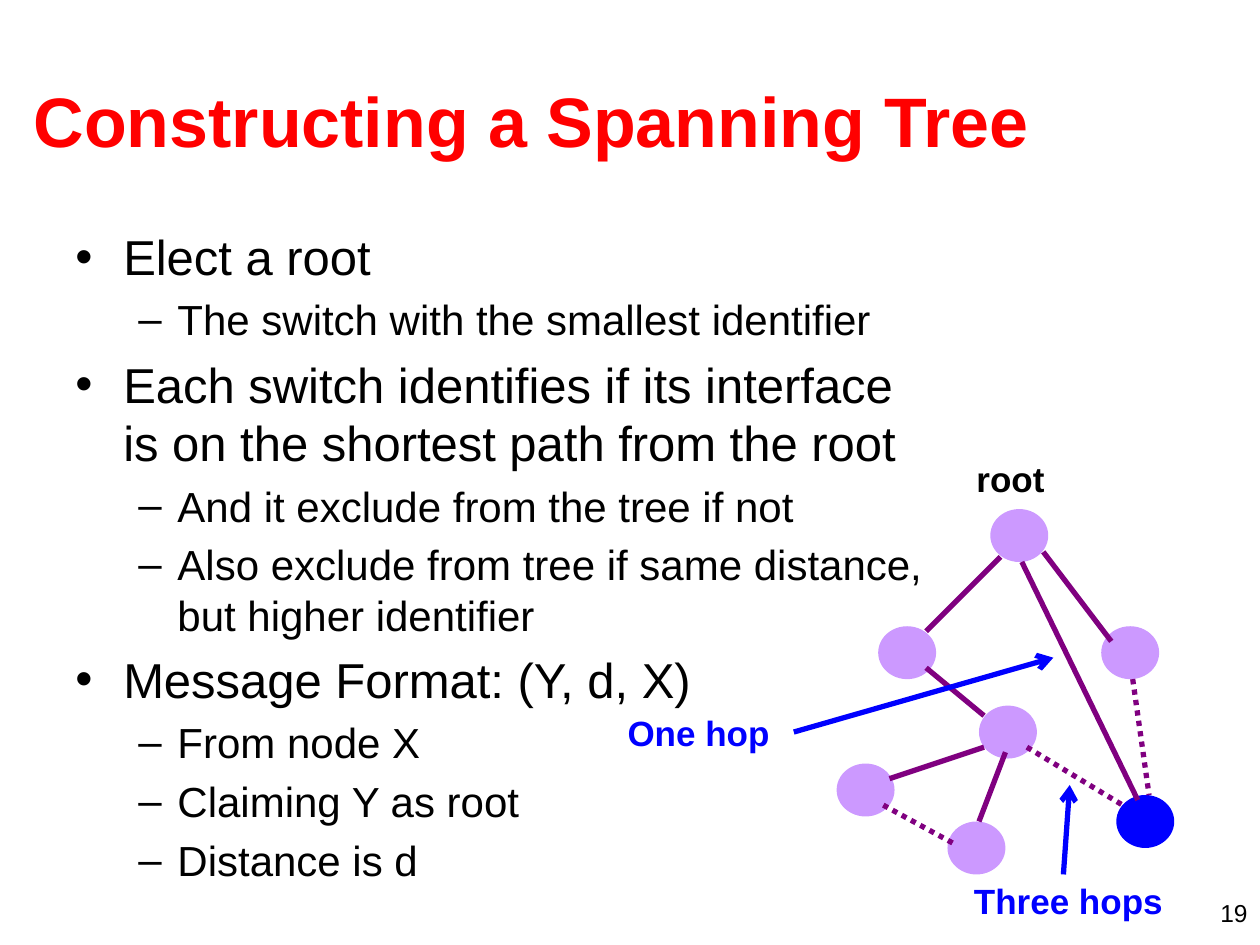
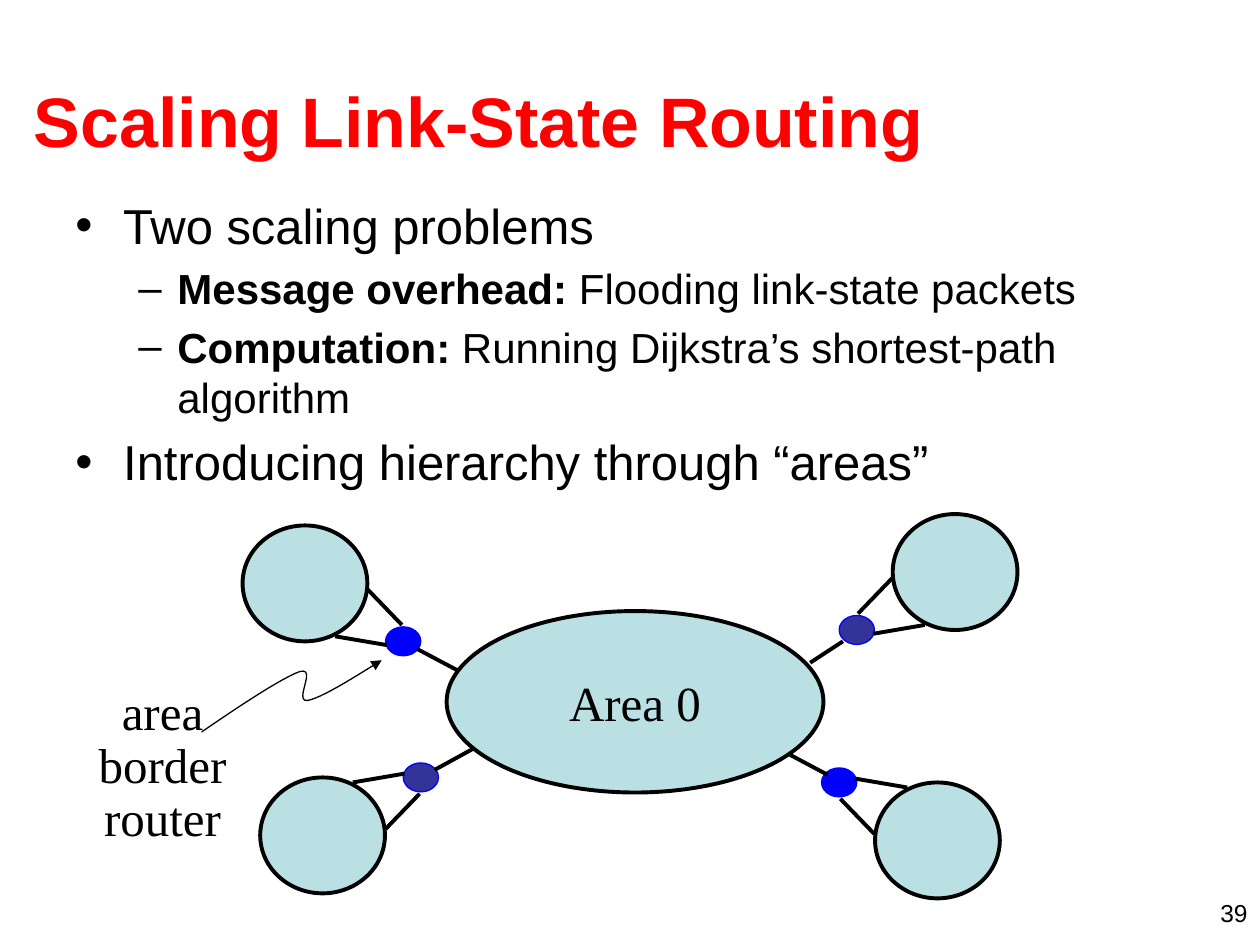
from lxml import etree
from pptx import Presentation
from pptx.dml.color import RGBColor
from pptx.enum.dml import MSO_LINE
from pptx.enum.shapes import MSO_CONNECTOR, MSO_SHAPE
from pptx.enum.text import MSO_ANCHOR, PP_ALIGN
from pptx.oxml.ns import qn
from pptx.util import Pt

PX = 9144  # 100 px to the inch

BLACK = RGBColor(0x00, 0x00, 0x00)
RED = RGBColor(0xFF, 0x00, 0x00)
BLUE = RGBColor(0x00, 0x00, 0xFF)
NAVY = RGBColor(0x33, 0x33, 0x99)
LILAC = RGBColor(0xCC, 0x99, 0xFF)
PURPLE = RGBColor(0x80, 0x00, 0x80)
PALE_TEAL = RGBColor(0xBB, 0xE0, 0xE3)

SANS, SERIF = "Arial", "Times New Roman"
LEFT, CENTER, RIGHT = PP_ALIGN.LEFT, PP_ALIGN.CENTER, PP_ALIGN.RIGHT
TOP, MIDDLE = MSO_ANCHOR.TOP, MSO_ANCHOR.MIDDLE
OVAL, STRAIGHT = MSO_SHAPE.OVAL, MSO_CONNECTOR.STRAIGHT
DOTTED = MSO_LINE.ROUND_DOT

# Per list level: bullet, size in points, left margin and hanging indent in px
LEVELS = [("•", 28, 38, 38), ("–", 24, 81, 31)]

# Slide 1: node centres, and links as from, to, dotted
NODES = [(809, 425), (720, 518), (897, 518), (800, 581), (687, 627), (775, 673)]
CLAIMING_NODE = (909, 652)
LINKS = [
    ((794, 442), (735, 501), False),
    ((828, 438), (882, 509), False),
    ((735, 530), (781, 568), False),
    ((815, 593), (891, 639), True),
    ((899, 539), (912, 631), True),
    ((811, 446), (903, 635), False),
    ((706, 618), (781, 593), False),
    ((777, 652), (798, 597), False),
    ((756, 669), (701, 639), True),
]

# Slide 2: area centre, side signs, router colour, link from router to Area 0
AREAS = [
    ((242, 463), (1, 1), BLUE, ((331, 515), (363, 532))),
    ((758, 454), (-1, 1), NAVY, ((669, 509), (643, 526))),
    ((256, 663), (1, -1), NAVY, ((345, 611), (376, 594))),
    ((744, 667), (-1, -1), BLUE, ((657, 615), (625, 598))),
]
POINTER_START = (160, 581)
POINTER_CURVES = [
    ((192, 559), (224, 538), (238, 533)),
    ((252, 529), (233, 557), (244, 556)),
    ((255, 554), (279, 539), (303, 524)),
]


def emu(*lengths):
    return [round(length * PX) for length in lengths]


def write(para, text, size, color=BLACK, font=SANS, bold=False):
    """Add text to a paragraph; a newline becomes a line break."""
    for number, line in enumerate(text.split("\n")):
        if number:
            para.add_line_break()
        span = para.add_run()
        span.text = line
        span.font.size = Pt(size)
        span.font.name = font
        span.font.bold = bold
        span.font.color.rgb = color


def add_text(page, area, text, size, align=LEFT, anchor=TOP, wrap=True,
             spacing=None, **style):
    """One paragraph per line of text."""
    frame = page.shapes.add_textbox(*emu(*area)).text_frame
    frame.word_wrap = wrap
    frame.vertical_anchor = anchor
    for number, line in enumerate(text.split("\n")):
        para = frame.add_paragraph() if number else frame.paragraphs[0]
        para.alignment = align
        para.line_spacing = spacing
        write(para, line, size, **style)


def add_bullets(page, area, items):
    """Items are (level, text) or (level, bold lead, text)."""
    frame = page.shapes.add_textbox(*emu(*area)).text_frame
    frame.word_wrap = True
    for number, (level, *leads, text) in enumerate(items):
        bullet, size, margin, hang = LEVELS[level]
        para = frame.add_paragraph() if number else frame.paragraphs[0]
        properties = para._p.get_or_add_pPr()
        properties.set("marL", str(margin * PX))
        properties.set("indent", str(-hang * PX))
        etree.SubElement(properties, qn("a:buFont"), typeface=SANS)
        etree.SubElement(properties, qn("a:buChar"), char=bullet)
        para.level = level
        if number:
            para.space_before = Pt(size * 0.2)
        for lead in leads:
            write(para, lead, size, bold=True)
        write(para, text, size)


def add_oval(page, center, size, fill, line=None, weight=0):
    (x, y), (width, height) = center, size
    oval = page.shapes.add_shape(
        OVAL, *emu(x - width / 2, y - height / 2, width, height))
    oval.shadow.inherit = False
    oval.fill.solid()
    oval.fill.fore_color.rgb = fill
    if line is None:
        oval.line.fill.background()
    else:
        oval.line.color.rgb = line
        oval.line.width = Pt(weight)
    return oval


def style_line(line, color, weight, arrow=None):
    line.color.rgb = color
    line.width = Pt(weight)
    if arrow:
        etree.SubElement(line._get_or_add_ln(), qn("a:tailEnd"), type=arrow)


def add_line(page, start, end, color, weight, dotted=False, arrow=None):
    link = page.shapes.add_connector(STRAIGHT, *emu(*start, *end))
    etree.SubElement(link._element.spPr, qn("a:effectLst"))
    if dotted:
        link.line.dash_style = DOTTED
    style_line(link.line, color, weight, arrow)


def bezier_points(start, curves, steps=12):
    """Points along a chain of cubic curves."""
    points = []
    for first, second, end in curves:
        for step in range(1, steps + 1):
            t = step / steps
            u = 1 - t
            points.append(tuple(
                u**3 * a + 3 * u * u * t * b + 3 * u * t * t * c + t**3 * d
                for a, b, c, d in zip(start, first, second, end)))
        start = end
    return points


def add_curve(page, start, curves, color, weight, arrow):
    builder = page.shapes.build_freeform(*emu(*start))
    points = [emu(*point) for point in bezier_points(start, curves)]
    builder.add_line_segments(points, close=False)
    curve = builder.convert_to_shape()
    curve.shadow.inherit = False
    curve.fill.background()
    style_line(curve.line, color, weight, arrow)


def add_page(deck, title, number):
    page = deck.slides.add_slide(deck.slide_layouts[6])
    add_text(page, (767, 708, 233, 25), str(number), 14, align=RIGHT)
    add_text(page, (17, 32, 958, 125), title, 40, anchor=MIDDLE,
             color=RED, bold=True)
    return page


def add_area(page, center, signs, router_color, backbone_link):
    """An outer area, its border router, and the links around the router."""
    def place(x, y):
        return center[0] + signs[0] * x, center[1] + signs[1] * y

    add_oval(page, center, (99, 92), PALE_TEAL, BLACK, 2.25)
    add_oval(page, place(78, 46), (28, 23), router_color, BLUE, 0.75)
    for link in (backbone_link,
                 (place(50, 5), place(77, 33)),
                 (place(24, 42), place(65, 49))):
        add_line(page, *link, BLACK, 2.25)


def add_spanning_tree_page(deck):
    page = add_page(deck, "Constructing a Spanning Tree", 19)
    add_bullets(page, (50, 175, 892, 495), [
        (0, "Elect a root"),
        (1, "The switch with the smallest identifier"),
        (0, "Each switch identifies if its interface \n"
            "is on the shortest path from the root"),
        (1, "And it exclude from the tree if not"),
        (1, "Also exclude from tree if same distance,\n"
            "but higher identifier"),
        (0, "Message Format: (Y, d, X)"),
        (1, "From node X"),
        (1, "Claiming Y as root"),
        (1, "Distance is d"),
    ])

    # Tree
    for node in NODES:
        add_oval(page, node, (46, 42), LILAC)
    add_oval(page, CLAIMING_NODE, (46, 42), BLUE)
    for start, end, dotted in LINKS:
        add_line(page, start, end, PURPLE, 3, dotted=dotted)

    # Labels and their arrows
    for area, label, color in [((765, 358, 74, 43), "root", BLACK),
                               ((488, 560, 133, 43), "One hop", BLUE),
                               ((763, 693, 170, 43), "Three hops", BLUE)]:
        add_text(page, area, label, 20, align=CENTER, wrap=False,
                 color=color, bold=True)
    for start, end in [((630, 581), (836, 522)), ((844, 694), (849, 623))]:
        add_line(page, start, end, BLUE, 3, arrow="arrow")


def add_link_state_page(deck):
    page = add_page(deck, "Scaling Link-State Routing", 39)
    add_bullets(page, (50, 150, 900, 217), [
        (0, "Two scaling problems"),
        (1, "Message overhead: ", "Flooding link-state packets"),
        (1, "Computation: ", "Running Dijkstra’s shortest-path algorithm"),
        (0, "Introducing hierarchy through “areas”"),
    ])

    # Backbone and outer areas
    backbone = add_oval(page, (504, 557), (299, 144), PALE_TEAL, BLACK, 2.25)
    frame = backbone.text_frame
    frame.word_wrap = False
    frame.vertical_anchor = MIDDLE
    frame.paragraphs[0].alignment = CENTER
    write(frame.paragraphs[0], "Area 0", 28, font=SERIF)
    for area in AREAS:
        add_area(page, *area)

    # Router label and pointer
    add_curve(page, POINTER_START, POINTER_CURVES, BLACK, 0.75, "triangle")
    add_text(page, (68, 541, 122, 136), "area\nborder\nrouter", 28,
             align=CENTER, wrap=False, spacing=0.9, font=SERIF)


def main():
    deck = Presentation()
    deck.slide_width, deck.slide_height = emu(1000, 750)
    add_spanning_tree_page(deck)
    add_link_state_page(deck)
    deck.save("out.pptx")


if __name__ == "__main__":
    main()
